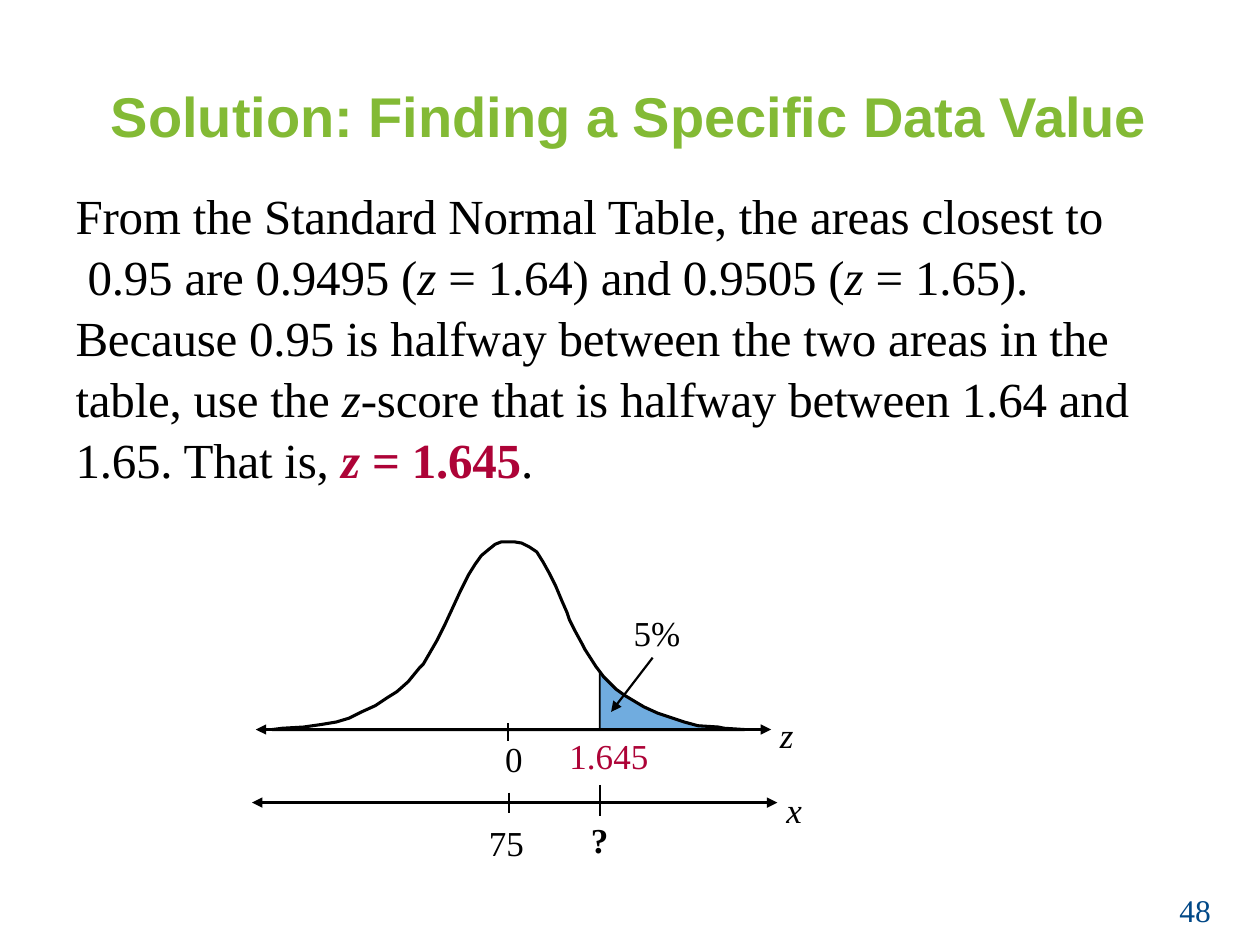
import pptx
import pptx.dml.color
import pptx.enum.shapes
import pptx.enum.text
import pptx.util
from lxml import etree
from pptx.oxml.ns import qn

COLORS = {"title": "83BA35", "text": "000000", "accent": "AD0337",
          "tail": "70ACDF", "page": "004887"}
SERIF = "Times New Roman"

TITLE = "Solution: Finding a Specific Data Value"

# Paragraphs of (text, style) runs; \v is a line break
BODY = [
    [("From the Standard Normal Table, the areas closest to\v 0.95 are 0.9495 (", ""),
     ("z", "italic"), (" = 1.64) and 0.9505 (", ""), ("z", "italic"), (" = 1.65).", "")],
    [("Because 0.95 is halfway between the two areas in the table, use the ", ""),
     ("z", "italic"), ("-score that is halfway between 1.64 and", "")],
    [("1.65. That is, ", ""), ("z", "accent italic"), (" = 1.645", "accent"), (".", "")],
]

# Text, left, top, width, height, size, colour, style
LABELS = [
    ("1.645", 4.52, 5.83, 0.66, 0.36, 20, "accent", ""),
    ("0", 4.01, 5.85, 0.17, 0.36, 20, "text", ""),
    ("z", 6.19, 5.66, 0.14, 0.36, 20, "text", "italic"),
    ("5%", 5.03, 4.85, 0.40, 0.36, 20, "text", ""),
    ("?", 4.69, 6.50, 0.17, 0.36, 20, "text", "bold"),
    ("75", 3.88, 6.52, 0.31, 0.36, 20, "text", ""),
    ("x", 6.24, 6.26, 0.15, 0.36, 20, "text", "italic"),
    ("48", 9.36, 7.07, 0.40, 0.30, 18, "page", ""),
]

# Bell curve in hundredths of an inch
BASELINE, TAIL_START, TAIL_END = 579, 476, 570
CURVE = [
    (216, 579), (224, 578), (241, 577), (255, 575), (267, 573), (277, 570),
    (287, 565), (298, 560), (307, 554), (315, 549), (324, 541), (333, 530),
    (336, 527), (347, 508), (353, 496), (359, 483), (365, 470), (372, 456),
    (377, 448), (382, 441), (388, 436), (393, 432), (398, 430), (403, 430),
    (408, 430), (414, 431), (420, 434), (426, 438), (431, 446), (436, 455),
    (441, 465), (446, 477), (450, 486), (452, 492), (456, 500), (462, 511),
    (464, 515), (473, 529), (476, 533), (479, 537), (484, 542), (489, 547),
    (496, 552), (511, 561), (522, 566), (534, 570), (543, 573), (554, 576),
    (570, 577), (575, 578), (591, 579),
]

# Start x, start y, end x, end y, arrowheads
AXES = [
    (2.03, 5.79, 6.12, 5.79, ("headEnd", "tailEnd")),
    (2.00, 6.37, 6.17, 6.37, ("headEnd", "tailEnd")),
]
MARKS = [
    (4.03, 5.74, 4.03, 5.88, ()),
    (4.04, 6.29, 4.04, 6.45, ()),
    (4.76, 6.23, 4.76, 6.48, ()),
    (5.18, 5.22, 4.85, 5.65, ("tailEnd",)),
]


def color(name):
    return pptx.dml.color.RGBColor.from_string(COLORS[name])


def style_font(font, name, size, color_name):
    font.name = name
    font.size = pptx.util.Pt(size)
    font.color.rgb = color(color_name)


def place(shape, *box):
    shape.left, shape.top, shape.width, shape.height = map(pptx.util.Inches, box)


def prepare_frame(shape):
    frame = shape.text_frame
    frame.word_wrap = True
    frame.auto_size = pptx.enum.text.MSO_AUTO_SIZE.NONE
    frame.vertical_anchor = pptx.enum.text.MSO_ANCHOR.TOP
    frame.margin_left = frame.margin_right = 0
    frame.margin_top = frame.margin_bottom = 0
    return frame


def add_outline(slide, points, width, fill_name=None):
    builder = slide.shapes.build_freeform(*points[0], scale=pptx.util.Inches(0.01))
    builder.add_line_segments(points[1:], close=True)
    shape = builder.convert_to_shape()
    shape.shadow.inherit = False
    if fill_name:
        shape.fill.solid()
        shape.fill.fore_color.rgb = color(fill_name)
    else:
        shape.fill.background()
    shape.line.color.rgb = color("text")
    shape.line.width = pptx.util.Pt(width)


def add_line(slide, start_x, start_y, end_x, end_y, arrowheads):
    line = slide.shapes.add_connector(
        pptx.enum.shapes.MSO_CONNECTOR.STRAIGHT,
        *map(pptx.util.Inches, (start_x, start_y, end_x, end_y)))
    line.line.color.rgb = color("text")
    line.line.width = pptx.util.Pt(1.25 if arrowheads else 1)
    properties = line._element.spPr
    for end in arrowheads:
        etree.SubElement(properties.find(qn("a:ln")), qn("a:" + end), type="triangle")
    etree.SubElement(properties, qn("a:effectLst"))


def add_label(slide, text, left, top, width, height, size, color_name, style):
    box = slide.shapes.add_textbox(*map(pptx.util.Inches, (left, top, width, height)))
    paragraph = prepare_frame(box).paragraphs[0]
    paragraph.text = text
    style_font(paragraph.font, SERIF, size, color_name)
    paragraph.font.italic = style == "italic"
    paragraph.font.bold = style == "bold"


def fill_title(shape):
    place(shape, 0.88, 0.65, 8.3, 0.56)
    paragraph = prepare_frame(shape).paragraphs[0]
    paragraph.text = TITLE
    paragraph.alignment = pptx.enum.text.PP_ALIGN.LEFT
    style_font(paragraph.font, "Arial", 32, "title")
    paragraph.font.bold = True


def fill_body(shape):
    place(shape, 0.6, 1.45, 8.47, 2.36)
    frame = prepare_frame(shape)
    for index, runs in enumerate(BODY):
        paragraph = frame.add_paragraph() if index else frame.paragraphs[0]
        paragraph.space_before = pptx.util.Pt(0)
        paragraph.line_spacing = 1.04
        style_font(paragraph.font, SERIF, 28, "text")
        properties = paragraph._p.get_or_add_pPr()
        properties.set("marL", "0")
        properties.set("indent", "0")
        properties.insert_element_before(
            etree.Element(qn("a:buNone")), "a:tabLst", "a:defRPr", "a:extLst")
        for text, style in runs:
            for part_number, part in enumerate(text.split("\v")):
                if part_number:
                    paragraph.add_line_break()
                run = paragraph.add_run()
                run.text = part
                style_font(run.font, SERIF, 28, "accent" if "accent" in style else "text")
                run.font.bold = "accent" in style
                run.font.italic = "italic" in style
                run.font._element.set("spc", "-10")


def main():
    presentation = pptx.Presentation()
    presentation.slide_width = pptx.util.Inches(10)
    presentation.slide_height = pptx.util.Inches(7.5)
    slide = presentation.slides.add_slide(presentation.slide_layouts[1])
    fill_title(slide.shapes.title)
    fill_body(slide.placeholders[1])

    # Shaded tail, axes, bell curve, then ticks and pointer
    tail = [point for point in CURVE if TAIL_START <= point[0] <= TAIL_END]
    add_outline(slide, tail + [(TAIL_END, BASELINE), (TAIL_START, BASELINE)], 1, "tail")
    for axis in AXES:
        add_line(slide, *axis)
    add_outline(slide, CURVE, 1.75)
    for mark in MARKS:
        add_line(slide, *mark)

    # Labels and page number
    for label in LABELS:
        add_label(slide, *label)
    presentation.save("out.pptx")


if __name__ == "__main__":
    main()
